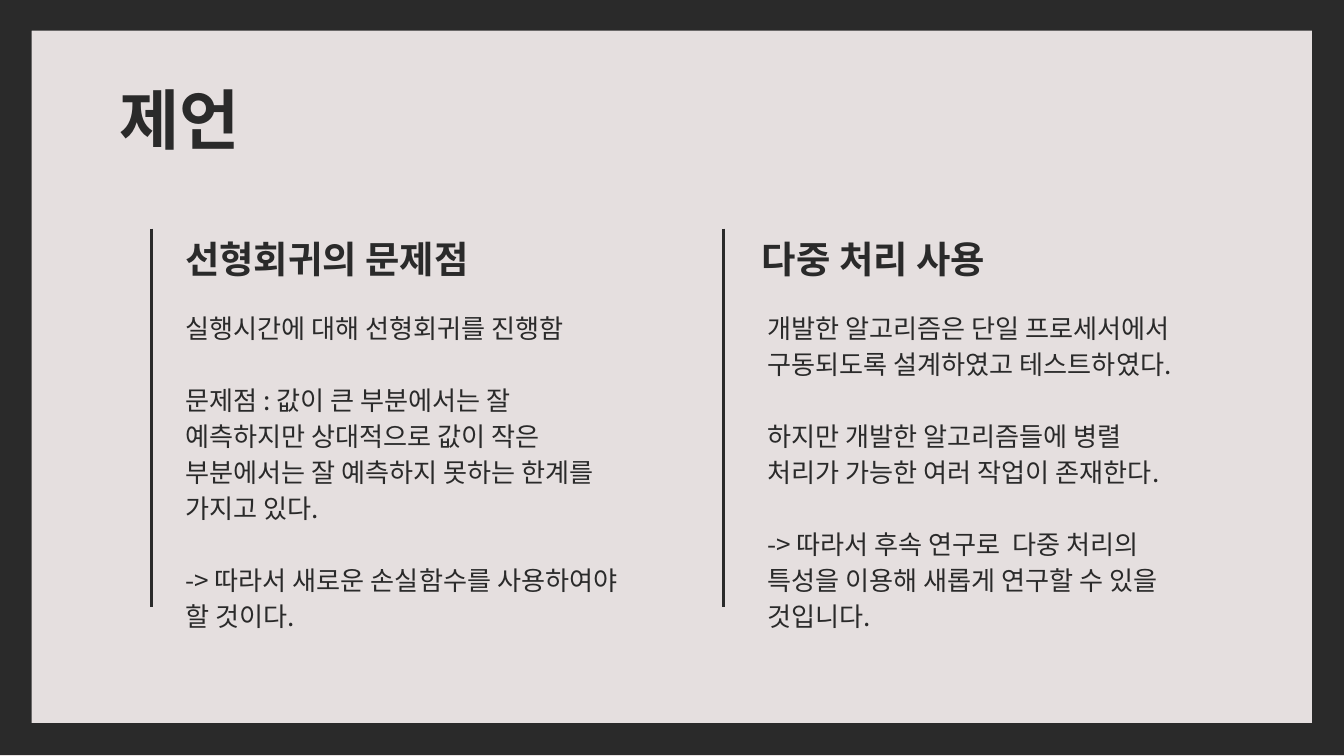
from lxml.etree import SubElement
from pptx import Presentation
from pptx.dml.color import RGBColor
from pptx.enum.shapes import MSO_CONNECTOR as CONN, MSO_SHAPE as SHAPE
from pptx.enum.text import MSO_ANCHOR as ANCHOR
from pptx.oxml.ns import qn
from pptx.util import Cm, Pt

COLORS = {"paper": "E5DFDF", "ink": "2A2A2A"}
FONT = "Noto Sans CJK KR"
LINE = 19.3  # body line pitch in points

COLUMNS = [
    # left, body shift, body width, heading, paragraphs
    (2.87, 0.38, 8.74, "선형회귀의 문제점", [
        "실행시간에 대해 선형회귀를 진행함",
        "문제점 : 값이 큰 부분에서는 잘 예측하지만 상대적으로 값이 작은 "
        "부분에서는 잘 예측하지 못하는 한계를 가지고 있다.",
        "-> 따라서 새로운 손실함수를 사용하여야 할 것이다."]),
    (13.67, 0.58, 8.36, "다중 처리 사용", [
        "개발한 알고리즘은 단일 프로세서에서 구동되도록 설계하였고 테스트하였다.",
        "하지만 개발한 알고리즘들에 병렬 처리가 가능한 여러 작업이 존재한다.",
        "-> 따라서 후속 연구로  다중 처리의 특성을 이용해 새롭게 연구할 수 있을 것입니다."]),
]


def rgb(name):
    return RGBColor.from_string(COLORS[name])


def add_text(slide, box, paragraphs, size, pitch, bold=False, anchor=ANCHOR.TOP):
    """Write paragraphs one line pitch (in points) apart."""
    tf = slide.shapes.add_textbox(*map(Cm, box)).text_frame
    tf.word_wrap = True
    tf.vertical_anchor = anchor
    tf.margin_left = tf.margin_right = tf.margin_top = tf.margin_bottom = Cm(0.25)
    for i, text in enumerate(paragraphs):
        p = tf.paragraphs[0] if i == 0 else tf.add_paragraph()
        p.text = text
        p.line_spacing = Pt(pitch)
        p.space_before = Pt(pitch if i else 0)
        font = p.font
        font.name, font.size, font.bold = FONT, Pt(size), bold
        font.color.rgb = rgb("ink")
        # Hangul takes the East Asian typeface
        SubElement(p._p.pPr.find(qn("a:defRPr")), qn("a:ea"), typeface=FONT)


def add_frame(slide, left, top, width, height):
    sp = slide.shapes.add_shape(SHAPE.FRAME, Cm(left), Cm(top), Cm(width), Cm(height))
    sp.adjustments[0] = 0.042
    sp.shadow.inherit = False
    sp.fill.solid()
    sp.fill.fore_color.rgb = rgb("ink")
    sp.line.fill.background()


def add_column(slide, left, top, height, body_shift, body_width, heading, paragraphs):
    # Rule on the left edge
    rule = slide.shapes.add_connector(
        CONN.STRAIGHT, Cm(left), Cm(top), Cm(left), Cm(top + height))
    rule.line.color.rgb = rgb("ink")
    rule.line.width = Pt(1.5)
    SubElement(rule._element.spPr, qn("a:effectLst"))
    # Heading and body
    text_left = left + body_shift
    heading_left = left + (0.38 if body_shift < 0.5 else 0.48)
    add_text(slide, (heading_left, top - 0.31, 8.26, 1.55), [heading], 20, 27.6,
             bold=True, anchor=ANCHOR.BOTTOM)
    add_text(slide, (text_left, top + 1.24, body_width, 3.28), paragraphs, 14, LINE)


def main():
    prs = Presentation()
    prs.slide_width, prs.slide_height = Cm(25.4), Cm(14.28)
    slide = prs.slides.add_slide(prs.slide_layouts[6])
    slide.background.fill.solid()
    slide.background.fill.fore_color.rgb = rgb("paper")

    add_frame(slide, 0, -0.02, 25.4, 14.28)
    add_text(slide, (2.01, 1.24, 21.41, 1.6), ["제언"], 35, 42, bold=True)
    for left, *column in COLUMNS:
        add_column(slide, left, 4.32, 7.14, *column)
    prs.save("out.pptx")


if __name__ == "__main__":
    main()
